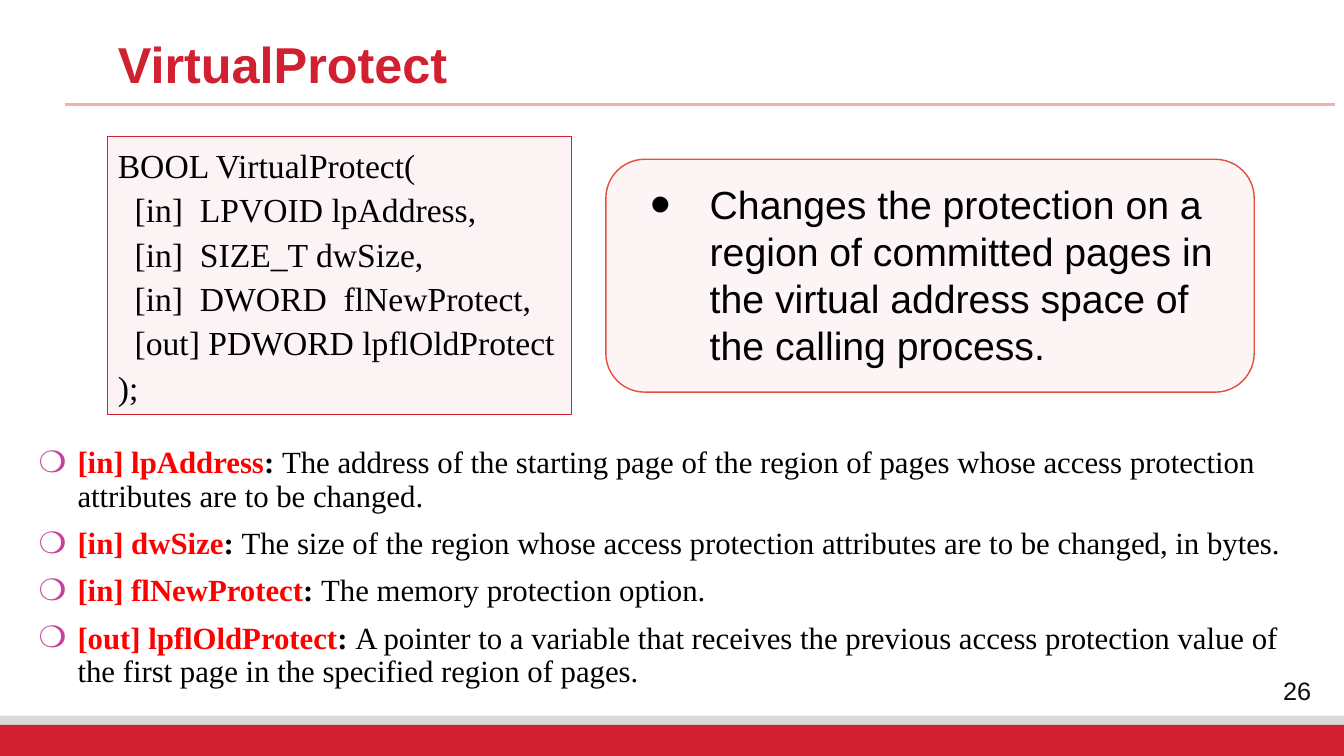
from lxml import etree
from pptx import Presentation
from pptx import util as u
from pptx.dml.color import RGBColor
from pptx.enum import shapes, text
from pptx.oxml import ns

THEME = {
    "red": "D1202F", "coral": "E74C3C", "grey": "D9D9D9", "rule": "F0B0B0",
    "ink": "000000", "number": "0D0D0D", "term": "FF0000", "bullet": "CA3E9D",
    "sans": "Arial", "serif": "Times New Roman",
    "title": 36, "summary": 28, "code": 24, "body": 22, "page_number": 18,
}

deck = Presentation()
deck.slide_width, deck.slide_height = u.Inches(13.33), u.Inches(7.5)
page = deck.slides.add_slide(deck.slide_layouts[6])


def area(left, top, width, height):
    """Turn percentages of the slide's width and height into lengths."""
    across, down = deck.slide_width / 100, deck.slide_height / 100
    return [u.Emu(round(share * unit)) for share, unit in
            ((left, across), (top, down), (width, across), (height, down))]


def write(box, paragraphs, font, size, color="ink", bold=False, spacing=1.0, after=0,
          align=text.PP_ALIGN.LEFT, anchor=text.MSO_ANCHOR.TOP,
          bullet=None, bullet_color=None, bullet_size=100, margin=0, hanging=0):
    """Fill a box; each paragraph is a list of (text, color, bold) spans or a plain string."""
    frame = box.text_frame
    frame.word_wrap = True
    frame.vertical_anchor = anchor
    for index, spans in enumerate(paragraphs):
        para = frame.paragraphs[0] if index == 0 else frame.add_paragraph()
        para.alignment = align
        para.line_spacing = spacing
        para.space_after = u.Pt(after)
        if bullet:
            props = para._p.get_or_add_pPr()
            props.set("marL", str(u.Inches(margin)))
            props.set("indent", str(-u.Inches(hanging)))
            tint = etree.SubElement(props, ns.qn("a:buClr"))
            etree.SubElement(tint, ns.qn("a:srgbClr"), val=THEME[bullet_color or color])
            etree.SubElement(props, ns.qn("a:buSzPct"), val=str(bullet_size * 1000))
            etree.SubElement(props, ns.qn("a:buFont"), typeface=THEME[font])
            etree.SubElement(props, ns.qn("a:buChar"), char=bullet)
        if isinstance(spans, str):
            spans = [(spans, color, bold)]
        for words, span_color, span_bold in spans:
            span = para.add_run()
            span.text = words
            span.font.name = THEME[font]
            span.font.size = u.Pt(THEME[size])
            span.font.bold = span_bold
            span.font.color.rgb = RGBColor.from_string(THEME[span_color])


# Footer bands, code panel and summary panel: kind, area, fill, opacity %, line width
RECT, ROUNDED = shapes.MSO_SHAPE.RECTANGLE, shapes.MSO_SHAPE.ROUNDED_RECTANGLE
panels = []
for kind, place, color, opacity, line_width in (
    (RECT, area(0, 94.67, 100, 5.33), "grey", 100, 0),
    (RECT, area(0, 95.87, 100, 4.13), "red", 100, 0),
    (RECT, area(8.03, 18, 34.5, 36.8), "red", 5, 0.75),
    (ROUNDED, area(45.08, 21.07, 48.24, 30.8), "coral", 5, 1),
):
    panel = page.shapes.add_shape(kind, *place)
    panel.shadow.inherit = False
    panel.fill.solid()
    panel.fill.fore_color.rgb = RGBColor.from_string(THEME[color])
    if opacity < 100:
        tint = panel._element.spPr.find(".//" + ns.qn("a:srgbClr"))
        etree.SubElement(tint, ns.qn("a:alpha"), val=str(opacity * 1000))
    if line_width:
        panel.line.color.rgb = RGBColor.from_string(THEME[color])
        panel.line.width = u.Pt(line_width)
    else:
        panel.line.fill.background()
    panels.append(panel)
code_panel = panels[2]

# Rule under the title
left, top, width, _ = area(4.8, 13.87, 94.52, 0)
rule = page.shapes.add_connector(shapes.MSO_CONNECTOR.STRAIGHT, left, top, left + width, top)
rule.line.color.rgb = RGBColor.from_string(THEME["rule"])
rule.line.width = u.Pt(2.25)
etree.SubElement(rule._element.spPr, ns.qn("a:effectLst"))

write(page.shapes.add_textbox(*area(8.03, 4.67, 85.3, 6.4)), ["VirtualProtect"],
      font="sans", size="title", color="red", bold=True, spacing=0.9)

write(code_panel, [
    "BOOL VirtualProtect(",
    "  [in]  LPVOID lpAddress,",
    "  [in]  SIZE_T dwSize,",
    "  [in]  DWORD  flNewProtect,",
    "  [out] PDWORD lpflOldProtect",
    ");",
], font="serif", size="code", spacing=1.1)

write(page.shapes.add_textbox(*area(46.14, 23.2, 46.06, 26.4)),
      ["Changes the protection on a region of committed pages in "
       "the virtual address space of the calling process."],
      font="sans", size="summary",
      bullet="•", bullet_size=150, margin=0.79, hanging=0.59)

parameters = {
    "[in] lpAddress": "The address of the starting page of the region of pages "
                      "whose access protection attributes are to be changed.",
    "[in] dwSize": "The size of the region whose access protection attributes "
                   "are to be changed, in bytes.",
    "[in] flNewProtect": "The memory protection option.",
    "[out] lpflOldProtect": "A pointer to a variable that receives the previous access "
                            "protection value of the first page in the specified region of pages.",
}
write(page.shapes.add_textbox(*area(2.18, 58.53, 95.65, 34.53)),
      [[(name, "term", True), (": ", "ink", True), (meaning, "ink", False)]
       for name, meaning in parameters.items()],
      font="serif", size="body", spacing=0.9, after=10,
      bullet="❍", bullet_color="bullet", margin=0.38, hanging=0.38)

write(page.shapes.add_textbox(*area(93.1, 88.67, 6.83, 5.2)), ["26"],
      font="sans", size="page_number", color="number",
      align=text.PP_ALIGN.CENTER, anchor=text.MSO_ANCHOR.MIDDLE)

deck.save("out.pptx")
